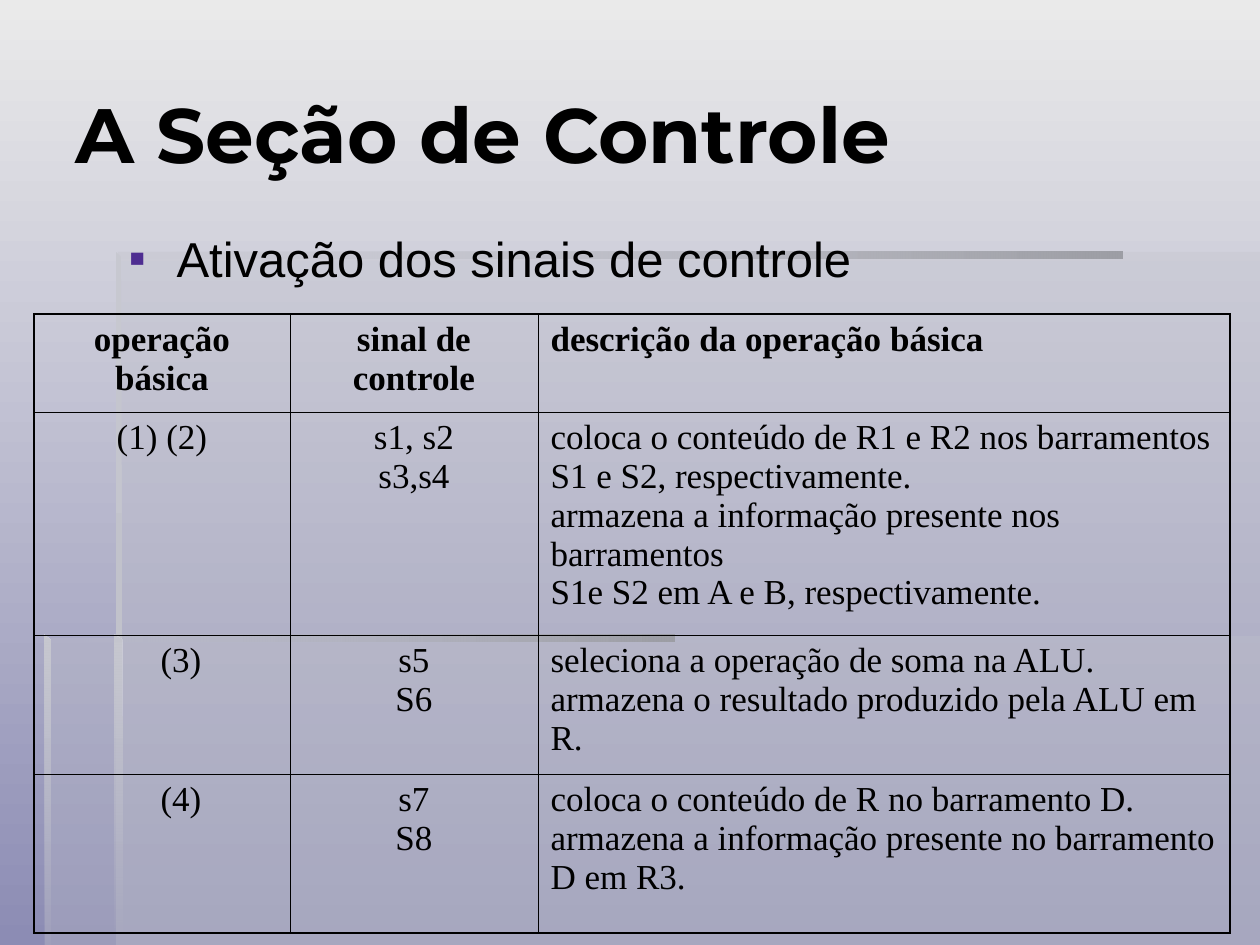
from typing import NamedTuple

from lxml.etree import SubElement
from pptx import Presentation
from pptx.dml.color import RGBColor
from pptx.enum.text import MSO_ANCHOR, MSO_AUTO_SIZE, PP_ALIGN
from pptx.oxml import parse_xml
from pptx.oxml.ns import nsdecls, qn
from pptx.util import Emu, Pt

SCALE = 914400 / 126
W, H = 1260, 945
BLACK = "000000"
PANEL = "C1C2CB"
OUTER, INNER = 0.96, 0.45


class Stop(NamedTuple):
    """A gradient colour with its opacity in percent."""
    color: str
    alpha: int = 100


class Panel(NamedTuple):
    """A background outline with one or more fill stops."""
    points: list[tuple[int, int]]
    stops: list[Stop]
    angle: int = 0


class Row(NamedTuple):
    """A table row: height, cell texts and first-column indent."""
    height: int
    texts: tuple[str, str, str]
    indent: int = 0
    bold: bool = False


def px(n: float) -> Emu:
    """Turn px into EMU."""
    return Emu(round(n * SCALE))


def rgb(color: str) -> RGBColor:
    """Turn a hex string into a colour."""
    return RGBColor.from_string(color)


def box(left: int, top: int, right: int, bottom: int) -> list[tuple[int, int]]:
    """Return the corners of a rectangle."""
    return [(left, top), (left, bottom), (right, bottom), (right, top)]


SOLID = [Stop(PANEL, 30)]
BAR = [Stop("9D9EA5"), Stop(PANEL, 0)]
EDGE = "C7C8D0"
PANELS = [
    Panel(box(116, 636, W, H), SOLID),
    Panel([(118, 638), (45, 638), (45, H), (W, H), (W, 252), (118, 252)], SOLID),
    Panel(box(116, 252, 1123, 258), BAR, 180),
    Panel([(116, 252), (116, 643), (122, 643), (121, 257)], [Stop(EDGE), Stop(PANEL)], 90),
    Panel([(115, H), (122, H), (121, 640), (115, 635)], [Stop(EDGE), Stop(PANEL, 0)], 90),
    Panel(box(44, 635, 674, 641), BAR, 180),
    Panel([(44, 635), (44, H), (50, H), (50, 641)], [Stop(EDGE), Stop(PANEL, 10)], 90),
]
COLS = [256, 248, 692]
ROWS = [
    Row(98, ("operação básica", "sinal de controle", "descrição da operação básica"), bold=True),
    Row(223, ("(1) (2)", "s1, s2\ns3,s4",
              "coloca o conteúdo de R1 e R2 nos barramentos\n"
              "S1 e S2, respectivamente.\n"
              "armazena a informação presente nos barramentos\n"
              "S1e S2 em A e B, respectivamente.")),
    Row(139, ("(3)", "s5\nS6",
              "seleciona a operação de soma na ALU.\n"
              "armazena o resultado produzido pela ALU em R."), 114),
    Row(159, ("(4)", "s7\nS8",
              "coloca o conteúdo de R no barramento D.\n"
              "armazena a informação presente no barramento D em R3."), 114),
]


def paint(fill, el, stops: list[Stop], angle: int) -> None:
    """Fill an element with one translucent colour or a gradient."""
    fill.solid()
    fill.fore_color.rgb = rgb(stops[0].color)
    solid = next(el.iter(qn("a:solidFill")))
    if len(stops) == 1:
        SubElement(solid[0], qn("a:alpha"), val=str(stops[0].alpha * 1000))
        return
    gs = "".join(
        f'<a:gs pos="{i * 100000}"><a:srgbClr val="{st.color}">'
        f'<a:alpha val="{st.alpha * 1000}"/></a:srgbClr></a:gs>'
        for i, st in enumerate(stops))
    grad = parse_xml(f'<a:gradFill {nsdecls("a")} rotWithShape="1"><a:gsLst>{gs}</a:gsLst>'
                     f'<a:lin ang="{angle * 60000}" scaled="0"/></a:gradFill>')
    solid.getparent().replace(solid, grad)


def add_panel(s, panel: Panel) -> None:
    """Draw one background panel."""
    fb = s.shapes.build_freeform(*panel.points[0], scale=SCALE)
    fb.add_line_segments(panel.points[1:], close=True)
    sp = fb.convert_to_shape()
    sp.shadow.inherit = False
    sp.line.fill.background()
    paint(sp.fill, sp._element.spPr, panel.stops, panel.angle)


def style(p, font: str, size: int, bold: bool = False,
          align: PP_ALIGN = PP_ALIGN.LEFT) -> None:
    """Format a paragraph and its runs."""
    p.alignment = align
    for r in p.runs:
        r.font.name, r.font.size, r.font.bold = font, Pt(size), bold
        r.font.color.rgb = rgb(BLACK)


def place(s, sp, text: str, left: int, top: int, width: int, height: int,
          anchor: MSO_ANCHOR):
    """Move a placeholder to the front, set its text, return its paragraph."""
    s.shapes._spTree.append(sp._element)
    sp.left, sp.top, sp.width, sp.height = map(px, (left, top, width, height))
    tf = sp.text_frame
    tf.text = text
    tf.word_wrap, tf.auto_size, tf.vertical_anchor = True, MSO_AUTO_SIZE.NONE, anchor
    return tf.paragraphs[0]


def add_bullet(p, char: str, color: str, indent: int) -> None:
    """Give a paragraph a coloured bullet with a hanging indent."""
    pPr = p._p.get_or_add_pPr()
    pPr.set("marL", str(px(indent)))
    pPr.set("indent", str(-px(indent)))
    SubElement(SubElement(pPr, qn("a:buClr")), qn("a:srgbClr"), val=color)
    SubElement(pPr, qn("a:buFont"), typeface="Arial")
    SubElement(pPr, qn("a:buChar"), char=char)


def set_borders(cell, widths: dict[str, float]) -> None:
    """Draw the four borders of a cell."""
    tcPr = cell._tc.get_or_add_tcPr()
    for i, (side, width) in enumerate(widths.items()):
        tcPr.insert(i, parse_xml(
            f'<a:ln{side} {nsdecls("a")} w="{Pt(width)}"><a:solidFill>'
            f'<a:srgbClr val="{BLACK}"/></a:solidFill></a:ln{side}>'))


def add_signals(s, left: int, top: int) -> None:
    """Add the table of control signals."""
    heights = [row.height for row in ROWS]
    tbl = s.shapes.add_table(len(ROWS), len(COLS), px(left), px(top),
                             px(sum(COLS)), px(sum(heights))).table
    tbl.first_row = tbl.horz_banding = False
    for col, width in zip(tbl.columns, COLS):
        col.width = px(width)
    for i, row in enumerate(ROWS):
        tbl.rows[i].height = px(row.height)
        for j, text in enumerate(row.texts):
            cell = tbl.cell(i, j)
            cell.text_frame.text = text
            cell.fill.background()
            indent = row.indent if j == 0 else 0
            align = PP_ALIGN.LEFT if j == 2 or indent else PP_ALIGN.CENTER
            for p in cell.text_frame.paragraphs:
                style(p, "Times New Roman", 20, row.bold, align)
                if indent:
                    p._p.get_or_add_pPr().set("marL", str(px(indent)))
            edges = {"L": j == 0, "R": j == len(COLS) - 1,
                     "T": i == 0, "B": i == len(ROWS) - 1}
            set_borders(cell, {k: OUTER if out else INNER for k, out in edges.items()})


def main() -> None:
    """Build the slide and save it."""
    prs = Presentation()
    prs.slide_width, prs.slide_height = px(W), px(H)
    s = prs.slides.add_slide(prs.slide_layouts[1])
    paint(s.background.fill, s._element, [Stop("EAEAEA"), Stop("8C8CB4")], 90)
    for panel in PANELS:
        add_panel(s, panel)
    p = place(s, s.shapes.title, "A Seção de Controle", 63, 34, 1155, 198, MSO_ANCHOR.MIDDLE)
    style(p, "Montserrat", 44, bold=True)
    p = place(s, s.placeholders[1], "Ativação dos sinais de controle",
              116, 234, 982, 71, MSO_ANCHOR.TOP)
    style(p, "Arial", 28)
    p.line_spacing, p.space_before = 0.8, Pt(7)
    add_bullet(p, "▪", "4E2D91", 48)
    add_signals(s, 34, 314)
    prs.save("out.pptx")


if __name__ == "__main__":
    main()
